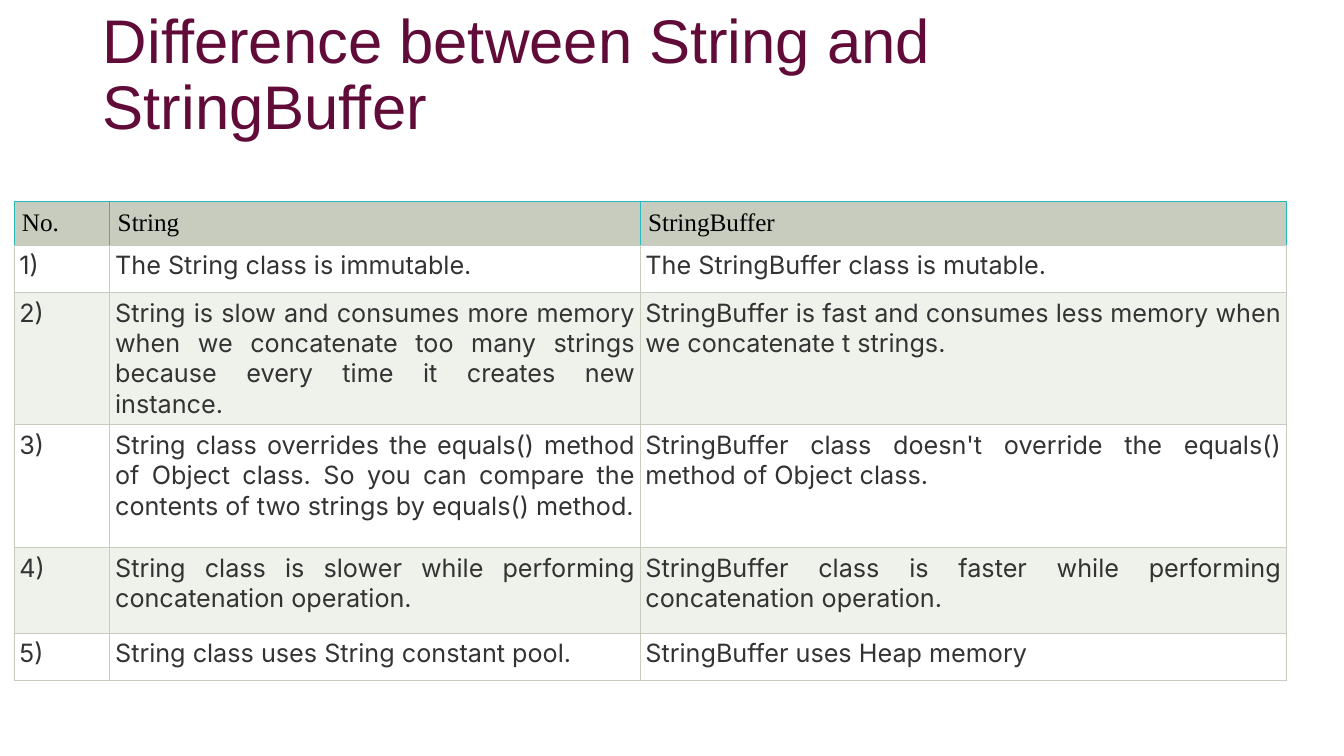
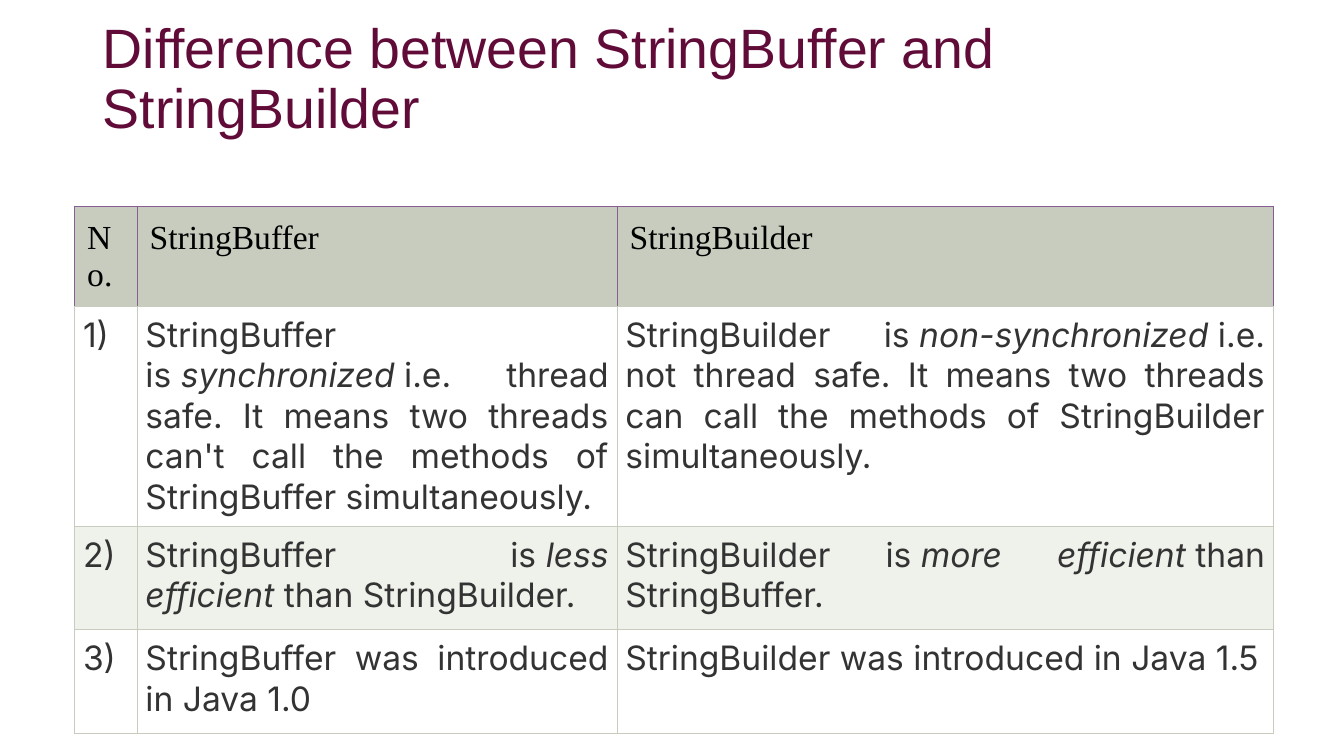
"""Build two slides that compare Java string classes in tables."""
from copy import deepcopy

from pptx import Presentation
from pptx.dml.color import RGBColor
from pptx.enum.text import MSO_ANCHOR, MSO_AUTO_SIZE, PP_ALIGN
from pptx.oxml import parse_xml
from pptx.oxml.ns import nsdecls, qn
from pptx.util import Inches, Pt

PLUM = RGBColor(0x61, 0x0B, 0x38)
SAGE = RGBColor(0xC7, 0xCC, 0xBE)
PALE_SAGE = RGBColor(0xEF, 0xF1, 0xEB)
WHITE = RGBColor(0xFF, 0xFF, 0xFF)
BLACK = RGBColor(0x00, 0x00, 0x00)
CHARCOAL = RGBColor(0x33, 0x33, 0x33)
TEAL = RGBColor(0x28, 0xBA, 0xBB)
PURPLE = RGBColor(0x88, 0x5E, 0x92)

TITLE_FONT, HEADER_FONT, BODY_FONT = "Arial", "Times New Roman", "Inter"
BORDER_WIDTH = Pt(0.75)
TITLE_ONLY = 5
HARD_SPACE = chr(160)

BUFFER_ROWS = [
    ("No.", "String", "StringBuffer"),
    ("1)", "The String class is immutable.", "The StringBuffer class is mutable."),
    ("2)",
     "String is slow and consumes more memory when we concatenate too many "
     "strings because every time it creates new instance.",
     "StringBuffer is fast and consumes less memory when we concatenate t strings."),
    ("3)",
     "String class overrides the equals() method of Object class. So you can "
     "compare the contents of two strings by equals() method.",
     "StringBuffer class doesn't override the equals() method of Object class."),
    ("4)",
     "String class is slower while performing concatenation operation.",
     "StringBuffer class is faster while performing concatenation operation."),
    ("5)", "String class uses String constant pool.", "StringBuffer uses Heap memory"),
]

BUILDER_ROWS = [
    ("No.", "StringBuffer", "StringBuilder"),
    ("1)",
     "StringBuffer is *synchronized* i.e. thread safe. It means two threads "
     "can't call the methods of StringBuffer simultaneously.",
     "StringBuilder is *non-synchronized* i.e. not thread safe. It means two "
     "threads can call the methods of StringBuilder simultaneously."),
    ("2)",
     "StringBuffer is *less efficient* than StringBuilder.",
     "StringBuilder is *more efficient* than StringBuffer."),
    ("3)",
     "StringBuffer was introduced in Java 1.0",
     "StringBuilder was introduced in Java 1.5"),
]


def style_run(run, font_name, size, color):
    """Set the font, size and colour of a run."""
    run.font.name = font_name
    run.font.size = Pt(size)
    run.font.color.rgb = color


def place_layout_title(layout):
    """Give every slide's title its shared place."""
    title = layout.placeholders[0]
    title.left, title.top = Inches(0.92), Inches(0.4)
    title.width, title.height = Inches(11.5), Inches(1.45)


def add_titled_slide(prs, heading, size):
    """Add a slide whose title ends with a line break of the same size."""
    slide = prs.slides.add_slide(prs.slide_layouts[TITLE_ONLY])
    frame = slide.shapes.title.text_frame
    frame.auto_size = MSO_AUTO_SIZE.NONE
    frame.word_wrap = True
    frame.vertical_anchor = MSO_ANCHOR.MIDDLE
    paragraph = frame.paragraphs[0]
    paragraph.alignment = PP_ALIGN.LEFT
    paragraph.line_spacing = 0.9
    run = paragraph.add_run()
    run.text = heading
    style_run(run, TITLE_FONT, size, PLUM)
    paragraph.add_line_break()
    paragraph._p.find(qn("a:br")).append(deepcopy(run._r.rPr))
    paragraph._p.append(parse_xml(
        f'<a:endParaRPr {nsdecls("a")} sz="{round(size * 100)}"/>'))
    return slide


def set_borders(cell, side_color, bottom_color):
    """Draw the four borders of a cell."""
    properties = cell._tc.get_or_add_tcPr()
    for side in "LRTB":
        color = bottom_color if side == "B" else side_color
        properties.append(parse_xml(
            f'<a:ln{side} {nsdecls("a")} w="{BORDER_WIDTH}"><a:solidFill>'
            f'<a:srgbClr val="{color}"/></a:solidFill></a:ln{side}>'))


def fill_cell(cell, text, size, inset, is_header, fill, border):
    """Write a cell; asterisks enclose italics, set off by hard spaces."""
    set_borders(cell, border, SAGE)
    cell.fill.solid()
    cell.fill.fore_color.rgb = fill
    cell.margin_left = cell.margin_right = Pt(inset)
    cell.margin_top = cell.margin_bottom = Pt(inset)
    paragraph = cell.text_frame.paragraphs[0]
    paragraph.alignment = PP_ALIGN.LEFT if is_header else PP_ALIGN.JUSTIFY
    joined = text.replace(" *", HARD_SPACE + "*").replace("* ", "*" + HARD_SPACE)
    for index, part in enumerate(joined.split("*")):
        run = paragraph.add_run()
        run.text = part
        if is_header:
            style_run(run, HEADER_FONT, size, BLACK)
        else:
            style_run(run, BODY_FONT, size, CHARCOAL)
        if index % 2:
            run.font.italic = True


def add_comparison(slide, rows, left, top, widths, heights, size, insets, accent):
    """Add a comparison table with a sage header and banded rows."""
    table = slide.shapes.add_table(
        len(rows), len(widths), Inches(left), Inches(top),
        Inches(sum(widths)), Inches(sum(heights))).table
    table.horz_banding = False
    for column, width in zip(table.columns, widths):
        column.width = Inches(width)
    for row, height in zip(table.rows, heights):
        row.height = Inches(height)
    header_inset, body_inset = insets
    for r, texts in enumerate(rows):
        is_header = r == 0
        band = WHITE if r % 2 else PALE_SAGE
        for c, text in enumerate(texts):
            fill_cell(table.cell(r, c), text, size,
                      header_inset if is_header else body_inset, is_header,
                      SAGE if is_header else band,
                      accent if is_header else SAGE)


def main():
    """Build and save the presentation."""
    prs = Presentation()
    prs.slide_width, prs.slide_height = Inches(13.33), Inches(7.5)
    place_layout_title(prs.slide_layouts[TITLE_ONLY])

    buffer_slide = add_titled_slide(
        prs, "Difference between String and StringBuffer", 44)
    add_comparison(buffer_slide, BUFFER_ROWS, 0.14, 2, (0.95, 5.26, 6.41),
                   (0.34, 0.47, 1.12, 1.22, 0.85, 0.47), 18, (5.6, 3.75), TEAL)

    builder_slide = add_titled_slide(
        prs, "Difference between StringBuffer and StringBuilder", 39.6)
    add_comparison(builder_slide, BUILDER_ROWS, 0.74, 2.05, (0.62, 4.76, 6.51),
                   (0.74, 1.34, 1.03, 1.03), 24, (9, 6), PURPLE)

    prs.save("out.pptx")


if __name__ == "__main__":
    main()
